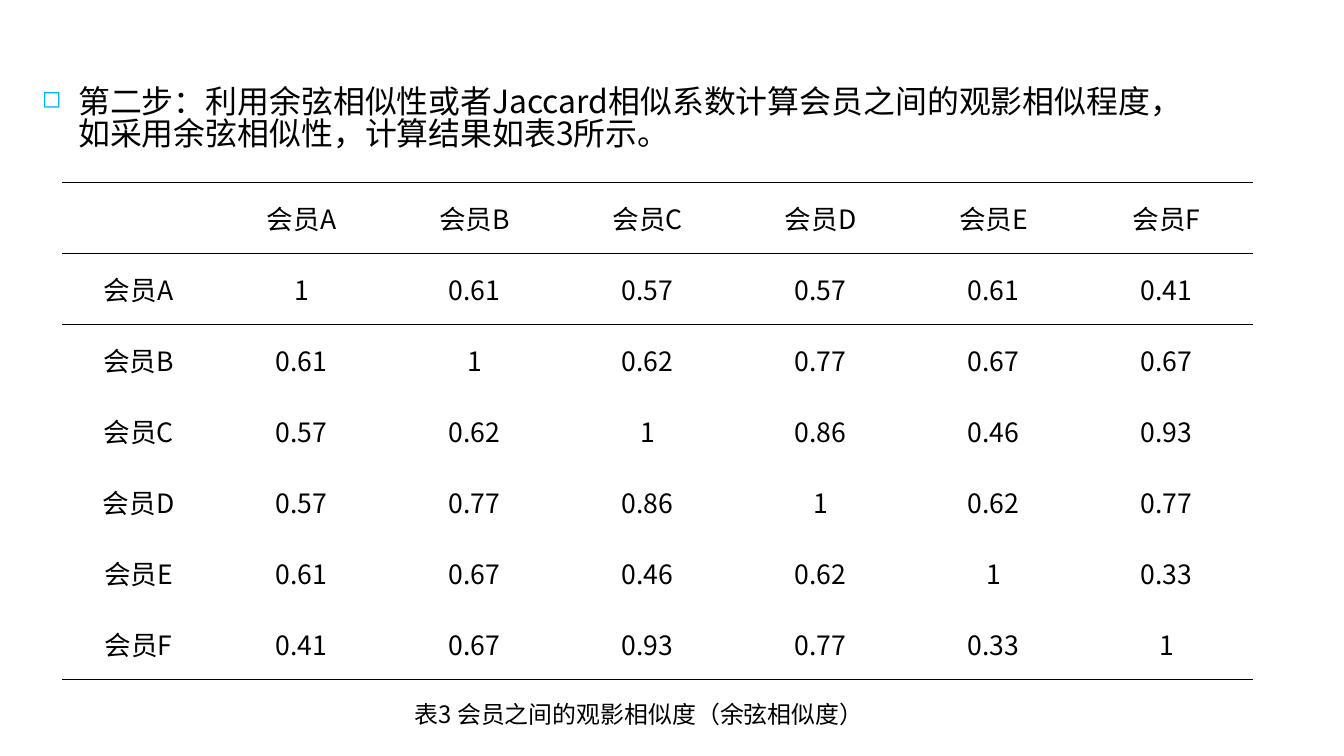
from dataclasses import dataclass

from lxml.etree import SubElement
from pptx import Presentation
from pptx.dml.color import RGBColor
from pptx.enum.text import MSO_ANCHOR as Anchor, PP_ALIGN as Align
from pptx.oxml.ns import qn
from pptx.util import Inches, Pt

FONT = "Noto Sans CJK SC"
BLACK = RGBColor(0x00, 0x00, 0x00)
BULLET_BLUE = RGBColor(0x00, 0xB0, 0xF2)
PLAIN_TABLE_STYLE = "{2D5ABB26-0587-4C30-8999-92F81FD0307C}"

MEMBERS = [f"会员{letter}" for letter in "ABCDEF"]
SIMILARITIES = [
    ["1", "0.61", "0.57", "0.57", "0.61", "0.41"],
    ["0.61", "1", "0.62", "0.77", "0.67", "0.67"],
    ["0.57", "0.62", "1", "0.86", "0.46", "0.93"],
    ["0.57", "0.77", "0.86", "1", "0.62", "0.77"],
    ["0.61", "0.67", "0.46", "0.62", "1", "0.33"],
    ["0.41", "0.67", "0.93", "0.77", "0.33", "1"],
]


@dataclass
class TextItem:
    text: str
    left: float
    top: float
    width: float
    height: float
    size: float
    align: Align = Align.LEFT
    anchor: Anchor = Anchor.TOP


STEP = TextItem(
    "第二步：利用余弦相似性或者Jaccard相似系数计算会员之间的观影相似程度，"
    "如采用余弦相似性，计算结果如表3所示。",
    0.34, 0.88, 12.28, 0.94, 24)
CAPTION = TextItem("表3 会员之间的观影相似度（余弦相似度）",
                   3.82, 7.26, 5.73, 0.42, 18, Align.CENTER, Anchor.MIDDLE)


def style_para(para, size: float, align: Align) -> None:
    para.alignment = align
    for span in para.runs:
        span.font.size = Pt(size)
        span.font.color.rgb = BLACK
        span.font.name = FONT
        SubElement(span.font._element, qn("a:ea"), typeface=FONT)


def add_text(page, item: TextItem):
    box = page.shapes.add_textbox(Inches(item.left), Inches(item.top),
                                  Inches(item.width), Inches(item.height))
    frame = box.text_frame
    frame.word_wrap = True
    frame.vertical_anchor = item.anchor
    frame.text = item.text
    style_para(frame.paragraphs[0], item.size, item.align)
    return frame.paragraphs[0]


def add_bullet(para) -> None:
    para.space_before = Pt(4.8)
    para.line_spacing = 0.82
    props = para._p.get_or_add_pPr()
    props.set("marL", str(Inches(0.38)))
    props.set("indent", str(-Inches(0.38)))
    color = SubElement(props, qn("a:buClr"))
    SubElement(color, qn("a:srgbClr"), val=str(BULLET_BLUE))
    SubElement(props, qn("a:buSzPct"), val="75000")
    SubElement(props, qn("a:buChar"), char="◻")


def add_border(cell, side: str) -> None:
    line = SubElement(cell._tc.get_or_add_tcPr(), qn(f"a:ln{side}"), w=str(Pt(1)))
    fill = SubElement(line, qn("a:solidFill"))
    SubElement(fill, qn("a:srgbClr"), val=str(BLACK))


def add_similarity_table(page) -> None:
    rows = [["", *MEMBERS]]
    rows += [[member, *values] for member, values in zip(MEMBERS, SIMILARITIES)]
    frame = page.shapes.add_table(len(rows), len(rows[0]), Inches(0.65), Inches(1.91),
                                  Inches(12.44), Inches(5.2))
    table = frame.table
    table.first_row = table.horz_banding = False
    table._tbl.tblPr.find(qn("a:tableStyleId")).text = PLAIN_TABLE_STYLE
    for index, column in enumerate(table.columns):
        column.width = Inches(1.81 if index else 1.6)

    # Rules above and below the header, and below the last row
    borders = {0: "TB", 1: "T", len(rows) - 1: "B"}
    for row_index, row in enumerate(rows):
        table.rows[row_index].height = Inches(5.2 / len(rows))
        for column_index, text in enumerate(row):
            cell = table.cell(row_index, column_index)
            cell.text = text
            cell.vertical_anchor = Anchor.MIDDLE
            cell.margin_left = cell.margin_right = Inches(0.07)
            cell.margin_top = cell.margin_bottom = 0
            style_para(cell.text_frame.paragraphs[0], 20, Align.CENTER)
            for side in borders.get(row_index, ""):
                add_border(cell, side)
            cell.fill.background()


# Slide
deck = Presentation()
deck.slide_width = Inches(14.06)
deck.slide_height = Inches(7.91)
page = deck.slides.add_slide(deck.slide_layouts[6])

# Step text, caption and table
add_bullet(add_text(page, STEP))
add_text(page, CAPTION)
add_similarity_table(page)

deck.save("out.pptx")
